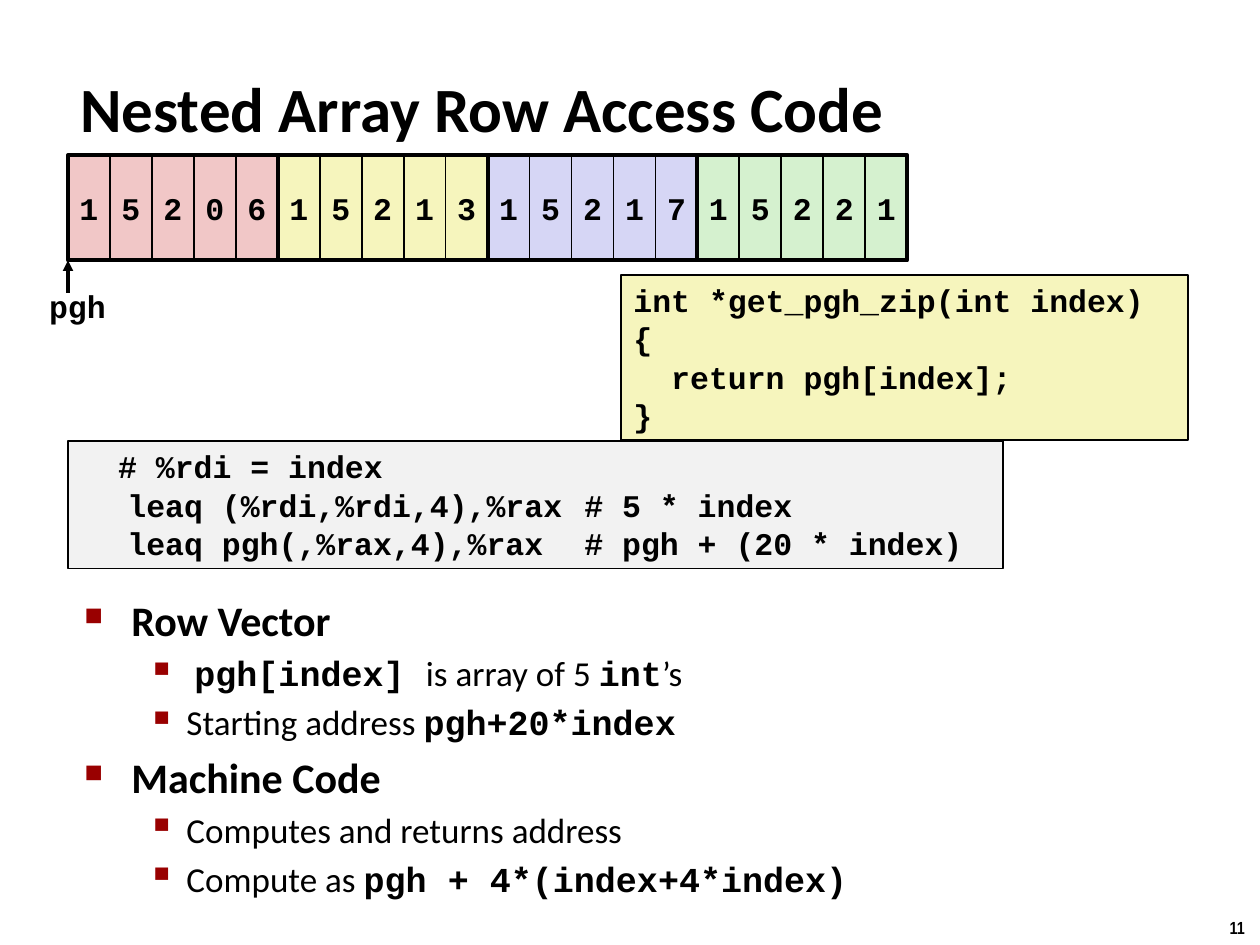
from dataclasses import dataclass

from lxml import etree
from pptx import Presentation
from pptx.dml.color import RGBColor
from pptx.enum.shapes import MSO_CONNECTOR, MSO_SHAPE
from pptx.enum.text import MSO_ANCHOR, PP_ALIGN
from pptx.oxml.ns import qn
from pptx.util import Cm, Pt

RECT = MSO_SHAPE.RECTANGLE
LINE = MSO_CONNECTOR.STRAIGHT
MID, TOP = MSO_ANCHOR.MIDDLE, MSO_ANCHOR.TOP
LEFT, CENTER = PP_ALIGN.LEFT, PP_ALIGN.CENTER


@dataclass(frozen=True)
class Theme:
    sans: str = "Calibri"
    mono: str = "Courier New"
    small: str = "Arial Narrow"
    ink: str = "000000"
    mark: str = "990000"
    red: str = "F1C7C7"
    yellow: str = "F6F5BD"
    blue: str = "D6D6F5"
    green: str = "D5F1CF"
    gray: str = "F2F2F2"
    title: int = 36
    head: int = 24
    item: int = 20
    code: int = 18
    note: int = 10
    pitch: float = 21.8


def add(node, tag, **attrs):
    return etree.SubElement(node, qn(tag), attrs)


class Deck:
    def __init__(self, theme):
        self.theme = theme
        self.prs = Presentation()
        self.prs.slide_width, self.prs.slide_height = Cm(25.4), Cm(19.05)
        self.slide = self.prs.slides.add_slide(self.prs.slide_layouts[6])

    def font(self, para, size, name=None, bold=None):
        font = para.font
        font.size = Pt(size)
        font.color.rgb = RGBColor.from_string(self.theme.ink)
        if name:
            font.name, font.bold = name, bold

    def label(self, text, x, y, w, h, size, name, wrap=False, anchor=TOP):
        frame = self.slide.shapes.add_textbox(Cm(x), Cm(y), Cm(w), Cm(h)).text_frame
        frame.word_wrap, frame.vertical_anchor = wrap, anchor
        frame.text = text
        self.font(frame.paragraphs[0], size, name, True)

    def box(self, x, y, w, h, fill=None, width=1):
        box = self.slide.shapes.add_shape(RECT, Cm(x), Cm(y), Cm(w), Cm(h))
        box.shadow.inherit = False
        if fill:
            box.fill.solid()
            box.fill.fore_color.rgb = RGBColor.from_string(fill)
        else:
            box.fill.background()
        box.line.color.rgb = RGBColor.from_string(self.theme.ink)
        box.line.width = Pt(width)
        return box

    def cell(self, digit, x, y, w, h, fill):
        frame = self.box(x, y, w, h, fill).text_frame
        frame.margin_left = frame.margin_right = 0
        frame.word_wrap, frame.vertical_anchor = False, MID
        frame.text = digit
        para = frame.paragraphs[0]
        para.alignment = CENTER
        self.font(para, self.theme.code, self.theme.mono, True)

    def code(self, lines, x, y, w, h, fill, tabs=()):
        frame = self.box(x, y, w, h, fill).text_frame
        frame.word_wrap, frame.vertical_anchor = True, TOP
        frame.text = "\n".join(lines)
        for para in frame.paragraphs:
            if tabs:
                stops = add(para._p.get_or_add_pPr(), "a:tabLst")
                for stop in tabs:
                    add(stops, "a:tab", pos=str(Cm(stop)), algn="l")
            para.alignment = LEFT
            para.line_spacing = Pt(self.theme.pitch)
            self.font(para, self.theme.code, self.theme.mono, True)

    def arrow(self, x, y, end):
        line = self.slide.shapes.add_connector(LINE, Cm(x), Cm(y), Cm(x), Cm(end))
        line.line.color.rgb = RGBColor.from_string(self.theme.ink)
        line.line.width = Pt(2)
        add(line.line._get_or_add_ln(), "a:tailEnd", type="triangle")
        add(line._element.spPr, "a:effectLst")

    def bullet(self, para, sign, scale, left, hang):
        props = para._p.get_or_add_pPr()
        props.set("marL", str(Cm(left)))
        props.set("indent", str(-Cm(hang)))
        add(add(props, "a:buClr"), "a:srgbClr", val=self.theme.mark)
        add(props, "a:buSzPct", val=str(scale * 1000))
        add(props, "a:buChar", char=sign)

    def outline(self, groups, x, y, w, h):
        theme = self.theme
        frame = self.slide.shapes.add_textbox(Cm(x), Cm(y), Cm(w), Cm(h)).text_frame
        frame.word_wrap = True
        para = frame.paragraphs[0]
        for place, (head, items) in enumerate(groups):
            if place:
                para = frame.add_paragraph()
            self.bullet(para, "■", 60, 0.95, 0.95)
            para.text = head
            para.space_before = Pt(theme.head * 0.2 if place else 0)
            self.font(para, theme.head, theme.sans, True)
            for parts in items:
                para = frame.add_paragraph()
                self.bullet(para, "▪", 110, 2.06, 0.79)
                para.space_before = Pt(theme.item * 0.2)
                self.font(para, theme.item)
                for spot, text in enumerate(parts):
                    run = para.add_run()
                    run.text = text
                    run.font.bold = spot % 2 == 1
                    run.font.name = theme.mono if spot % 2 else theme.sans


def main():
    theme = Theme()
    deck = Deck(theme)
    left, top, tall, wide = 1.37, 3.13, 2.12, 4.23

    deck.label("11", 24.54, 18.36, 0.86, 0.69, theme.note, theme.small)
    deck.label("Nested Array Row Access Code", left, 1.37, 21.23, 1.6,
               theme.title, theme.sans, True, MID)
    deck.outline([
        ("Row Vector", [
            (" ", "pgh[index] ", "is array of 5 ", "int", "’s"),
            ("Starting address ", "pgh+20*index"),
        ]),
        ("Machine Code", [
            ("Computes and returns address",),
            ("Compute as ", "pgh + 4*(index+4*index)"),
        ]),
    ], 1.45, 11.86, 20.57, 6.78)

    deck.code([
        "int *get_pgh_zip(int index)",
        "{",
        "  return pgh[index];",
        "}",
    ], 12.52, 5.54, 11.43, 3.33, theme.yellow)
    deck.code([
        "  # %rdi = index",
        "\tleaq (%rdi,%rdi,4),%rax\t# 5 * index",
        "\tleaq pgh(,%rax,4),%rax\t# pgh + (20 * index)",
    ], left, 8.89, 18.85, 2.57, theme.gray, (0.95, 7.3, 10.16))

    deck.arrow(left, 5.9, top + tall)
    deck.label("pgh", 0.74, 5.66, 1.68, 1.02, theme.code, theme.mono)

    rows = [("15206", theme.red), ("15213", theme.yellow),
            ("15217", theme.blue), ("15221", theme.green)]
    step = wide / 5
    for row, (digits, fill) in enumerate(rows):
        for col, digit in enumerate(digits):
            deck.cell(digit, left + row * wide + col * step, top, step, tall, fill)
    for row in range(len(rows)):
        deck.box(left + row * wide, top, wide, tall, width=2.25)

    deck.prs.save("out.pptx")


if __name__ == "__main__":
    main()
